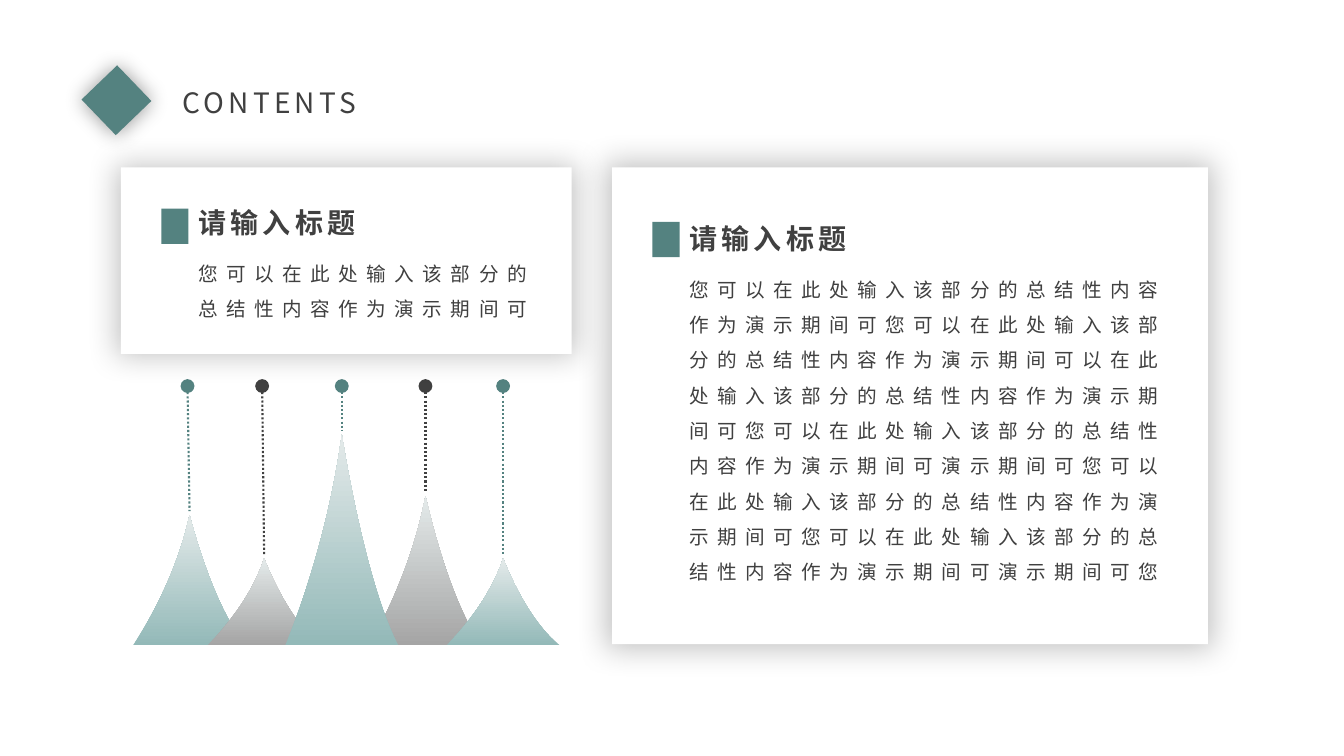
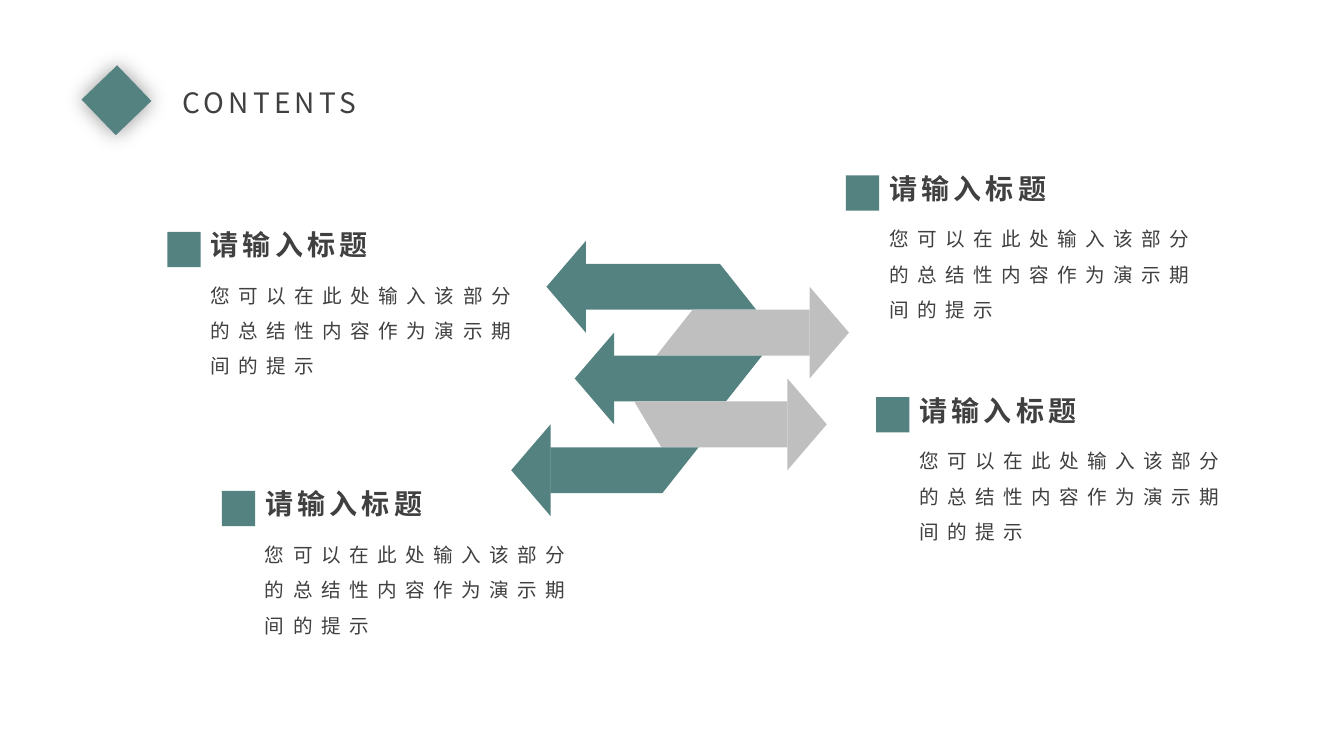
from collections import namedtuple

from lxml import etree
from pptx import Presentation
from pptx.dml.color import RGBColor
from pptx.enum.dml import MSO_LINE
from pptx.enum.shapes import MSO_CONNECTOR, MSO_SHAPE
from pptx.enum.text import MSO_ANCHOR, MSO_AUTO_SIZE, PP_ALIGN
from pptx.oxml.ns import qn
from pptx.util import Inches, Pt

RECTANGLE = MSO_SHAPE.RECTANGLE
STRAIGHT = MSO_CONNECTOR.STRAIGHT
DOTTED = MSO_LINE.ROUND_DOT
TOP = MSO_ANCHOR.TOP
LEFT = PP_ALIGN.LEFT
NO_AUTOFIT = MSO_AUTO_SIZE.NONE

TEAL = RGBColor(0x54, 0x82, 0x80)
SOFT_TEAL = RGBColor(0x93, 0xB9, 0xB8)
INK = RGBColor(0x40, 0x40, 0x40)
GRAY = RGBColor(0xA5, 0xA5, 0xA5)
SILVER = RGBColor(0xBF, 0xBF, 0xBF)
MIST = RGBColor(0xE4, 0xEA, 0xEA)
WHITE = RGBColor(0xFF, 0xFF, 0xFF)

FONT = "Noto Sans CJK SC"
TITLE_FORMAT = {"size": Pt(20), "bold": False, "name": FONT}
HEADING_FORMAT = {"size": Pt(20), "bold": True, "name": FONT}
BODY_FORMAT = {"size": Pt(14), "bold": False, "name": FONT}

# All boxes are in inches.
Box = namedtuple("Box", "left top width height")
Peak = namedtuple("Peak", "offset height lean fill_color pin_color")
Arrow = namedtuple("Arrow", "direction neck tail_top tail_bottom color")

HEADING = "请输入标题"
HEADING_HEIGHT = 0.44
SHORT_BODY = "您可以在此处输入该部分的总结性内容作为演示期间可"
LONG_BODY = (
    "您可以在此处输入该部分的总结性内容作为演示期间可"
    "您可以在此处输入该部分的总结性内容作为演示期间可"
    "以在此处输入该部分的总结性内容作为演示期间可"
    "您可以在此处输入该部分的总结性内容作为演示期间可演示期间可"
    "您可以在此处输入该部分的总结性内容作为演示期间可"
    "您可以在此处输入该部分的总结性内容作为演示期间可演示期间可您"
)
HINT_BODY = "您可以在此处输入该部分的总结性内容作为演示期间的提示"

PEAK_WIDTH = 1.12
PIN_GAP = 0.04
PEAKS = [
    Peak(0, 1.29, 0.02, SOFT_TEAL, TEAL),
    Peak(0.74, 0.86, 0.02, GRAY, INK),
    Peak(2.34, 1.48, 0, GRAY, INK),
    Peak(1.51, 2.09, 0, SOFT_TEAL, TEAL),
    Peak(3.11, 0.86, 0, SOFT_TEAL, TEAL),
]
# Shares of a peak's width and height, from the left end of its baseline:
# the baseline, then three control points for each slope.
PEAK_OUTLINE = [(0, 0), (1, 0),
                (0.7, 0.3), (0.5, 1), (0.5, 1),
                (0.36, 0.44), (0, 0), (0, 0)]

HEAD_DEPTH = 0.39
ARROWS = [
    Arrow(-1, 0.74, 2.07, 2.43, TEAL),
    Arrow(1, 2.96, 1.8, 1.44, SILVER),
    Arrow(-1, 1.02, 2.49, 2.13, TEAL),
    Arrow(1, 2.74, 1.22, 1.49, SILVER),
    Arrow(-1, 0.39, 1.86, 1.5, TEAL),
]
HINT_CORNERS = [(8.39, 1.65), (8.69, 3.85), (2.2, 4.78), (1.66, 2.21)]


def to_emu(box):
    return [Inches(length) for length in box]


def write_text(shape, text, text_format, spacing, line_spacing=1, wrap=True):
    frame = shape.text_frame
    frame.word_wrap = wrap
    frame.auto_size = NO_AUTOFIT
    frame.vertical_anchor = TOP
    paragraph = frame.paragraphs[0]
    paragraph.alignment = LEFT
    paragraph.line_spacing = line_spacing
    run = paragraph.add_run()
    run.text = text
    for attribute, value in text_format.items():
        setattr(run.font, attribute, value)
    run.font.color.rgb = INK
    properties = run.font._element
    properties.set("spc", str(spacing * 100))
    etree.SubElement(properties, qn("a:ea")).set("typeface", FONT)


def add_text(slide, box, *text_settings, **options):
    write_text(slide.shapes.add_textbox(*to_emu(box)), *text_settings, **options)


def add_glow(shape, opacity, blur, scale=100):
    """Add a centred black shadow; opacity and scale in percent, blur in points."""
    effects = shape._element.spPr.find(qn("a:effectLst"))
    shadow = etree.SubElement(effects, qn("a:outerShdw"), blurRad=str(Pt(blur)),
                              dist="0", dir="0", sx=str(scale * 1000),
                              sy=str(scale * 1000), algn="ctr", rotWithShape="0")
    color = etree.SubElement(shadow, qn("a:srgbClr"), val="000000")
    etree.SubElement(color, qn("a:alpha"), val=str(opacity * 1000))


def add_block(slide, box, color):
    block = slide.shapes.add_shape(RECTANGLE, *to_emu(box))
    block.shadow.inherit = False
    block.fill.solid()
    block.fill.fore_color.rgb = color
    block.line.fill.background()
    return block


def add_polygon(slide, points):
    start, *others = [to_emu(point) for point in points]
    builder = slide.shapes.build_freeform(*start)
    builder.add_line_segments(others, close=True)
    polygon = builder.convert_to_shape()
    polygon.shadow.inherit = False
    polygon.line.fill.background()
    return polygon


def bend_slopes(polygon):
    """Turn each three segments after the baseline into one Bézier curve."""
    segments = list(polygon._element.iter(qn("a:lnTo")))[1:7]
    for first in (0, 3):
        curve = etree.Element(qn("a:cubicBezTo"))
        segments[first].addprevious(curve)
        for segment in segments[first:first + 3]:
            curve.append(segment[0])
            segment.getparent().remove(segment)


def add_titled_slide(presentation):
    slide = presentation.slides.add_slide(presentation.slide_layouts[5])
    diamond = add_block(slide, Box(0.91, 0.75, 0.49, 0.49), TEAL)
    diamond.rotation = 46.1
    add_glow(diamond, 40, 15)
    title = slide.shapes.title
    title.left, title.top, title.width, title.height = to_emu(Box(1.71, 0.8, 2.81, 0.44))
    write_text(title, "CONTENTS", TITLE_FORMAT, 3)
    return slide


def add_entry(slide, box, body, marker_width, marker_drop):
    """Add a marker with a heading and a body to its right."""
    add_block(slide, Box(box.left, box.top + marker_drop, marker_width, 0.35), TEAL)
    text_left = box.left + marker_width
    add_text(slide, Box(text_left, box.top, 1.85, HEADING_HEIGHT),
             HEADING, HEADING_FORMAT, 3, wrap=False)
    add_text(slide, Box(text_left, box.top + HEADING_HEIGHT,
                        box.width - marker_width, box.height - HEADING_HEIGHT),
             body, BODY_FORMAT, 6, line_spacing=1.5)


def add_panel(slide, box, body, padding_top, marker_drop):
    add_glow(add_block(slide, box, WHITE), 23, 22, scale=102)
    content = Box(box.left + 0.4, box.top + padding_top,
                  box.width - 0.53, box.height - 2 * padding_top)
    add_entry(slide, content, body, 0.27, marker_drop)


def add_pin(slide, start, end, color):
    """Add a dotted line that starts with a round dot."""
    pin = slide.shapes.add_connector(STRAIGHT, *to_emu(start + end))
    pin.line.color.rgb = color
    pin.line.width = Pt(1.5)
    pin.line.dash_style = DOTTED
    properties = pin._element.spPr
    etree.SubElement(properties.find(qn("a:ln")), qn("a:headEnd"),
                     type="oval", w="lg", len="lg")
    etree.SubElement(properties, qn("a:effectLst"))


def add_peaks(slide, box):
    baseline = box.top + box.height
    for peak in PEAKS:
        left = box.left + peak.offset
        mountain = add_polygon(slide, [(left + x * PEAK_WIDTH, baseline - y * peak.height)
                                       for x, y in PEAK_OUTLINE])
        bend_slopes(mountain)
        mountain.fill.gradient()
        mountain.fill.gradient_angle = 90
        for stop, color in zip(mountain.fill.gradient_stops, (peak.fill_color, MIST)):
            stop.color.rgb = color
        apex = left + PEAK_WIDTH / 2
        add_pin(slide, (apex - peak.lean, box.top),
                (apex, baseline - peak.height - PIN_GAP), peak.pin_color)


def add_arrows(slide, box):
    """Stack arrows one row apart; each head is two rows tall."""
    row = box.height / (len(ARROWS) + 1)
    for index, arrow in enumerate(ARROWS, start=1):
        middle = box.top + index * row
        upper, lower = middle - row / 2, middle + row / 2
        neck = box.left + arrow.neck
        tail = [(box.left + arrow.tail_top, upper), (neck, upper),
                (neck, lower), (box.left + arrow.tail_bottom, lower)]
        head = [(neck, middle - row),
                (neck + arrow.direction * HEAD_DEPTH, middle),
                (neck, middle + row)]
        for outline in (tail, head):
            part = add_polygon(slide, outline)
            part.fill.solid()
            part.fill.fore_color.rgb = arrow.color


def build_peaks_slide(presentation):
    slide = add_titled_slide(presentation)
    add_peaks(slide, Box(1.32, 3.83, 4.23, 2.57))
    add_panel(slide, Box(1.2, 1.66, 4.47, 1.85), SHORT_BODY, 0.33, 0.08)
    add_panel(slide, Box(6.07, 1.66, 5.91, 4.73), LONG_BODY, 0.49, 0.05)


def build_arrows_slide(presentation):
    slide = add_titled_slide(presentation)
    add_arrows(slide, Box(5.07, 2.39, 3.35, 2.73))
    for left, top in HINT_CORNERS:
        add_entry(slide, Box(left, top, 3.59, 1.56), HINT_BODY, 0.33, 0.09)


def main():
    presentation = Presentation()
    presentation.slide_width = Inches(13.33)
    presentation.slide_height = Inches(7.5)
    build_peaks_slide(presentation)
    build_arrows_slide(presentation)
    presentation.save("out.pptx")


if __name__ == "__main__":
    main()
